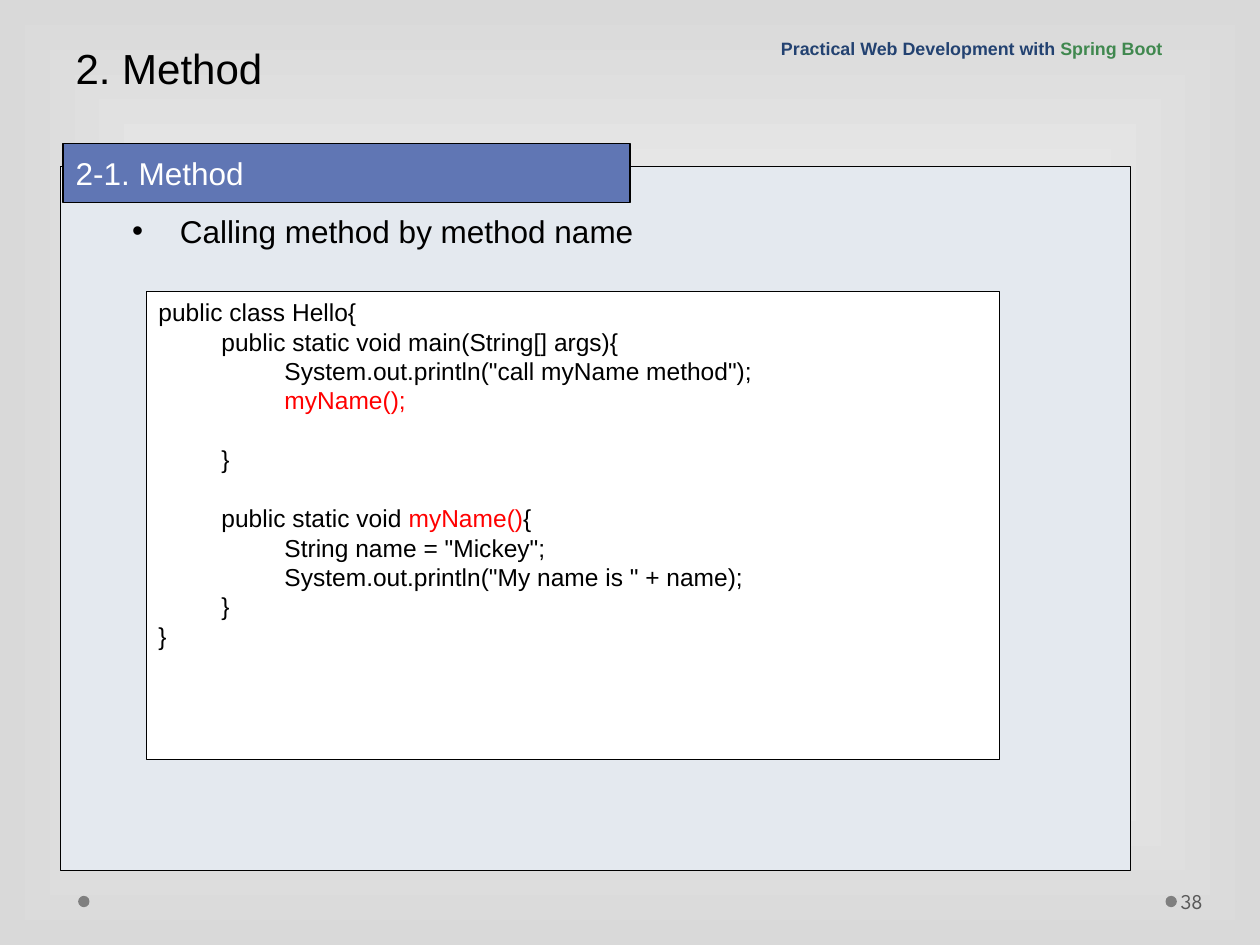
"""Build a lecture slide on calling a Java method by name."""
from lxml.etree import SubElement
from pptx import Presentation
from pptx.dml.color import RGBColor
from pptx.enum.shapes import MSO_SHAPE
from pptx.enum.text import MSO_ANCHOR, MSO_AUTO_SIZE, PP_ALIGN
from pptx.oxml import parse_xml
from pptx.oxml.ns import nsdecls, qn
from pptx.util import Inches, Pt

COLORS = {
    "black": "000000", "white": "FFFFFF", "red": "FF0000", "edge": "D9D9D9",
    "panel": "E4E9EF", "heading": "6076B4", "dot": "7F7F7F",
    "number": "595959", "navy": "234271", "green": "40884F",
}
TITLE = [[("2. Method", "black")]]
HEADING = [[("2-1. Method", "white")]]
COURSE = [[("Practical Web Development with ", "navy"), ("Spring Boot", "green")]]
POINT = [[("Calling method by method name", "black")]]
NUMBER = [[("38", "number")]]
CODE = [
    [("public class Hello{", "black")],
    [("\tpublic static void main(String[] args){", "black")],
    [("\t\tSystem.out.println(\"call myName method\");", "black")],
    [("\t\t", "black"), ("myName();", "red")],
    [("\t\t", "black")],
    [("\t}", "black")],
    [("\t", "black")],
    [("\tpublic static void ", "black"), ("myName()", "red"), ("{", "black")],
    [("\t\tString name = \"Mickey\";", "black")],
    [("\t\tSystem.out.println(\"My name is \" + name);", "black")],
    [("\t}", "black")],
    [("}", "black")],
]
DOT_LEFTS = [0.62, 9.25]


def color(name):
    return RGBColor.from_string(COLORS[name])


def place(shape, left, top, width, height):
    shape.left, shape.top = Inches(left), Inches(top)
    shape.width, shape.height = Inches(width), Inches(height)


def paint(shape, fill, line_width=None):
    shape.fill.solid()
    shape.fill.fore_color.rgb = color(fill)
    if line_width:
        shape.line.color.rgb = color("black")
        shape.line.width = Pt(line_width)
    else:
        shape.line.fill.background()


def add_shape(slide, kind, frame, fill, line_width=None):
    shape = slide.shapes.add_shape(kind, *map(Inches, frame))
    shape.shadow.inherit = False
    paint(shape, fill, line_width)
    return shape


def write(shape, lines, size, font="Arial", bold=False, anchor=MSO_ANCHOR.TOP,
          indent=0, bullet=None, tab=None, spacing=1.0, left_inset=0.1):
    frame = shape.text_frame
    frame.word_wrap = True
    frame.auto_size = MSO_AUTO_SIZE.NONE
    frame.vertical_anchor = anchor
    frame.margin_left, frame.margin_right = Inches(left_inset), Inches(0.1)
    frame.margin_top = frame.margin_bottom = Inches(0.05)
    for index, spans in enumerate(lines):
        para = frame.add_paragraph() if index else frame.paragraphs[0]
        properties = para._p.get_or_add_pPr()
        properties.set("marL", str(Inches(indent)))
        properties.set("indent", str(-Inches(indent)))
        if bullet:
            SubElement(properties, qn("a:buFont"), typeface=font)
            SubElement(properties, qn("a:buChar"), char=bullet)
        else:
            SubElement(properties, qn("a:buNone"))
        if tab:
            stops = SubElement(properties, qn("a:tabLst"))
            for step in range(1, 8):
                SubElement(stops, qn("a:tab"), pos=str(Inches(step * tab)), algn="l")
        para.alignment = PP_ALIGN.LEFT
        para.line_spacing = spacing
        para.space_before = para.space_after = Pt(0)
        for text, tint in spans:
            span = para.add_run()
            span.text = text
            span.font.name, span.font.size = font, Pt(size)
            span.font.bold = bold
            span.font.color.rgb = color(tint)


def add_text(slide, frame, lines, size, **style):
    box = slide.shapes.add_textbox(*map(Inches, frame))
    write(box, lines, size, **style)


def set_background(slide):
    slide.background.fill.solid()
    solid = slide.element.find(".//" + qn("p:bgPr")).find(qn("a:solidFill"))
    gradient = parse_xml(
        f'<a:gradFill {nsdecls("a")} rotWithShape="1"><a:gsLst>'
        f'<a:gs pos="0"><a:srgbClr val="{COLORS["white"]}"/></a:gs>'
        f'<a:gs pos="100000"><a:srgbClr val="{COLORS["edge"]}"/></a:gs></a:gsLst>'
        '<a:path path="rect"><a:fillToRect l="50000" t="50000" r="50000" b="50000"/>'
        '</a:path></a:gradFill>')
    solid.getparent().replace(solid, gradient)


def main():
    deck = Presentation()
    deck.slide_width, deck.slide_height = Inches(10), Inches(7.5)
    page = deck.slides.add_slide(deck.slide_layouts[1])
    set_background(page)
    title, heading = page.shapes.title, page.placeholders[1]

    for left in DOT_LEFTS:
        add_shape(page, MSO_SHAPE.OVAL, (left, 7.11, 0.09, 0.09), "dot")
    panel = add_shape(page, MSO_SHAPE.RECTANGLE, (0.48, 1.32, 8.49, 5.59), "panel", 0.75)
    title.element.addprevious(panel.element)

    place(title, 0.5, 0, 9, 0.79)
    write(title, TITLE, 24, anchor=MSO_ANCHOR.BOTTOM, indent=1.13, spacing=Pt(58))
    place(heading, 0.5, 1.14, 4.5, 0.47)
    paint(heading, "heading", 0.75)
    write(heading, HEADING, 18, indent=0.38, spacing=1.1)

    add_text(page, (9.34, 6.95, 0.61, 0.4), NUMBER, 12, font="League Spartan",
             anchor=MSO_ANCHOR.MIDDLE, left_inset=0.03)
    add_text(page, (6.1, 0.24, 3.9, 0.28), COURSE, 10.2, bold=True,
             anchor=MSO_ANCHOR.BOTTOM, spacing=0.9)
    add_text(page, (0.95, 1.63, 6.98, 1.06), POINT, 18, indent=0.38, bullet="•")
    listing = add_shape(page, MSO_SHAPE.RECTANGLE, (1.16, 2.31, 6.77, 3.72), "white", 0.25)
    write(listing, CODE, 14, tab=0.5)
    deck.save("out.pptx")


if __name__ == "__main__":
    main()
